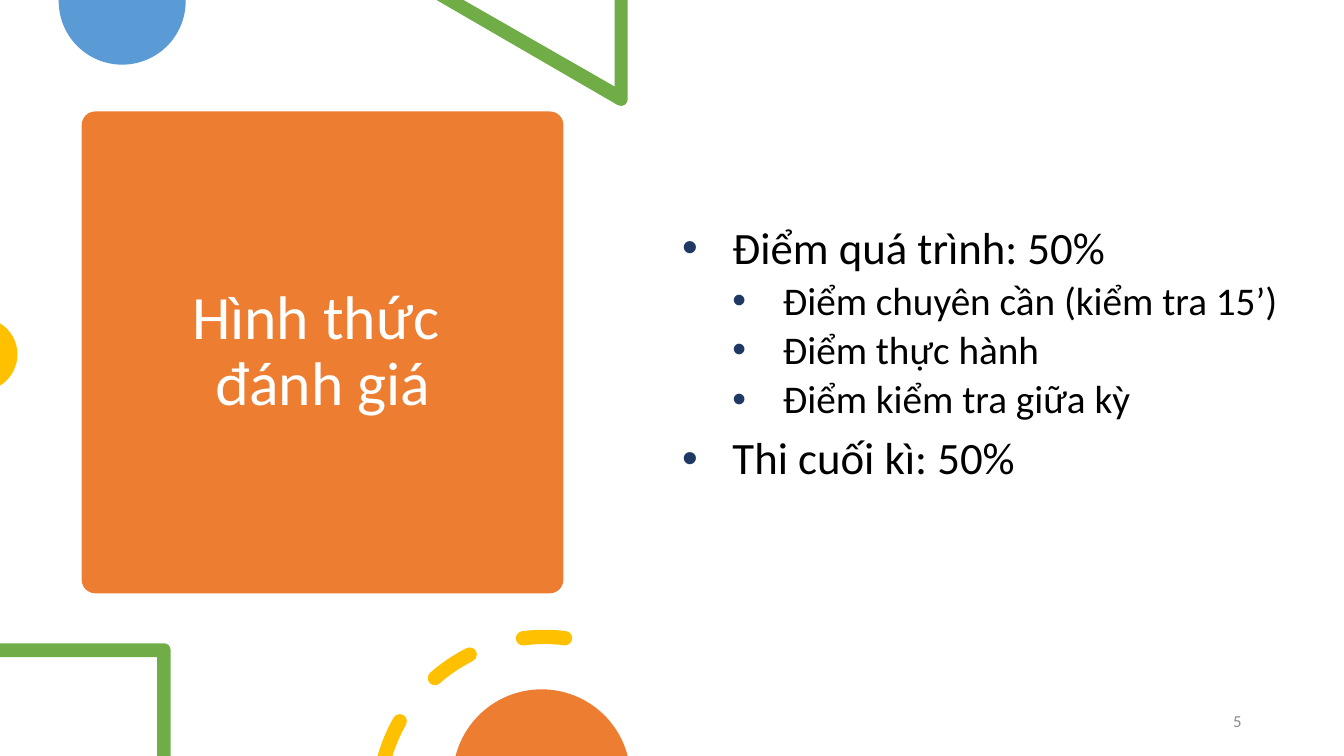
from math import asin, cos, degrees, radians, sin, tan

from lxml.etree import SubElement
from pptx import Presentation
from pptx.dml.color import RGBColor
from pptx.enum.shapes import MSO_SHAPE as Preset
from pptx.enum.text import MSO_ANCHOR as Anchor, PP_ALIGN as Align
from pptx.oxml.ns import qn
from pptx.util import Cm, Pt

WIDTH, HEIGHT = 33.87, 19.05
FONT = "Calibri"
ORANGE = RGBColor(0xED, 0x7D, 0x31)
BLUE = RGBColor(0x5B, 0x9B, 0xD5)
GREEN = RGBColor(0x70, 0xAD, 0x47)
YELLOW = RGBColor(0xFF, 0xC0, 0x00)
NAVY = RGBColor(0x20, 0x38, 0x64)
GRAY = RGBColor(0x8C, 0x8C, 0x8C)
BLACK = RGBColor(0, 0, 0)
WHITE = RGBColor(0xFF, 0xFF, 0xFF)

GRADING = [
    (0, "Điểm quá trình: 50%"),
    (1, "Điểm chuyên cần (kiểm tra 15’)"),
    (1, "Điểm thực hành"),
    (1, "Điểm kiểm tra giữa kỳ"),
    (0, "Thi cuối kì: 50%"),
]


def arc(x, y, radius, start, end):
    """Return a start point and Bezier triples; degrees run clockwise from the right."""
    low, high = sorted((start, end))
    quarters = [angle for angle in range(-90, 721, 90) if low < angle < high]
    stops = sorted([start, *quarters, end], reverse=end < start)

    def at(angle, along=0):
        """Return the arc's point at an angle, moved along the tangent."""
        c, s = cos(radians(angle)), sin(radians(angle))
        return x + radius * (c - along * s), y + radius * (s + along * c)

    steps = [[at(start)]]
    for first, last in zip(stops, stops[1:]):
        handle = 4 / 3 * tan(radians(last - first) / 4)
        steps.append([at(first, handle), at(last, -handle), at(last)])
    return steps


def corners(*points):
    """Return straight outline steps through the points."""
    return [[point] for point in points]


def paint(shape, color):
    """Give a shape a flat fill without line or shadow."""
    shape.shadow.inherit = False
    shape.fill.solid()
    shape.fill.fore_color.rgb = color
    shape.line.fill.background()


def add_outline(slide, color, *contours):
    """Draw one filled freeform from closed contours of lines and curves in cm."""
    builder = None
    for steps in contours:
        start, *points = [(Cm(x), Cm(y)) for step in steps for x, y in step]
        if builder:
            builder.move_to(*start)
        else:
            builder = slide.shapes.build_freeform(*start)
        builder.add_line_segments(points)
    shape = builder.convert_to_shape()
    paint(shape, color)

    lines = iter(list(shape._element.iter(qn("a:lnTo"))))
    for step in [step for steps in contours for step in steps[1:]]:
        curve, *others = [next(lines) for _ in step]
        if others:
            curve.tag = qn("a:cubicBezTo")
        for line in others:
            curve.append(line[0])
            line.getparent().remove(line)


def ring_dash(start, end):
    """Return a ring dash with round ends, or cut by the slide's bottom edge."""
    x, y, radius, half = 13.72, 20.24, 4.19, 0.18
    outer, inner = radius + half, radius - half

    def cap(angle, turn):
        """Return the half circle that closes the dash at an angle."""
        center_x, center_y = arc(x, y, radius, angle, angle)[0][0]
        return arc(center_x, center_y, half, angle + turn, angle + turn + 180)[1:]

    def edge(size):
        """Return the angle at which a circle meets the bottom edge."""
        return 180 + degrees(asin((y - HEIGHT) / size))

    cut = start < edge(radius)
    outer_start, inner_start = (edge(outer), edge(inner)) if cut else (start, start)
    return (arc(x, y, outer, outer_start, end) + cap(end, 0)
            + arc(x, y, inner, end, inner_start)[1:] + ([] if cut else cap(start, 180)))


def add_decorations(slide):
    """Draw the shapes along the slide's edges."""
    add_outline(slide, BLUE, arc(3.08, 0.03, 1.6, 0, 180) + corners((1.48, 0), (4.68, 0)))
    add_outline(slide, GREEN,
                corners((15.82, 0), (15.49, 0), (15.49, 2.18), (11.68, 0), (11, 0))
                + arc(15.65, 2.5, 0.17, 120, 0))
    add_outline(slide, YELLOW, arc(-0.48, 8.93, 0.92, -58.5, 58.5))
    add_outline(slide, GREEN,
                corners((0, 16.21), (0, 16.56), (3.96, 16.56), (3.96, HEIGHT), (4.3, HEIGHT))
                + arc(4.13, 16.38, 0.17, 0, -90))
    add_outline(slide, YELLOW, *[ring_dash(start, start + 14.5) for start in (195, 228.8, 262.6)])
    add_outline(slide, ORANGE, arc(13.65, 19.61, 2.24, 194.5, 345.5))


def add_text_frame(slide, left, top, width, height, anchor):
    """Add a wrapping text box and return its text frame."""
    frame = slide.shapes.add_textbox(Cm(left), Cm(top), Cm(width), Cm(height)).text_frame
    frame.word_wrap = True
    frame.vertical_anchor = anchor
    return frame


def style(paragraph, size, color, align=Align.LEFT):
    """Set a paragraph's font and alignment."""
    paragraph.alignment = align
    paragraph.font.name = FONT
    paragraph.font.size = Pt(size)
    paragraph.font.color.rgb = color


def add_bullet(paragraph, level):
    """Give a paragraph a navy bullet with a hanging indent."""
    properties = paragraph._p.get_or_add_pPr()
    properties.set("marL", str(Cm(1.27 * (level + 1))))
    properties.set("indent", str(Cm(-1.27)))
    color = SubElement(properties, qn("a:buClr"))
    SubElement(color, qn("a:srgbClr"), val=str(NAVY))
    SubElement(properties, qn("a:buFont"), typeface="Arial")
    SubElement(properties, qn("a:buChar"), char="•")


def add_title(slide):
    """Add the orange card and the title on it."""
    card = slide.shapes.add_shape(Preset.ROUNDED_RECTANGLE, Cm(2.06), Cm(2.81), Cm(12.14), Cm(12.14))
    card.adjustments[0] = 0.028
    paint(card, ORANGE)
    paragraph = add_text_frame(slide, 2.66, 3.1, 10.95, 11.58, Anchor.MIDDLE).paragraphs[0]
    paragraph.text = "Hình thức \vđánh giá"
    paragraph.line_spacing = 0.9
    style(paragraph, 44, WHITE, Align.CENTER)


def add_grading(slide):
    """Add the two-level list of grading parts."""
    frame = add_text_frame(slide, 16.94, 5.69, 15.77, 7.5, Anchor.TOP)
    frame.margin_top = 0
    for index, (level, text) in enumerate(GRADING):
        paragraph = frame.add_paragraph() if index else frame.paragraphs[0]
        paragraph.text = text
        paragraph.level = level
        paragraph.line_spacing = 0.9
        paragraph.space_before = Pt((5 if level else 10) if index else 0)
        add_bullet(paragraph, level)
        style(paragraph, 28 if level else 32, BLACK)


def add_page_number(slide):
    """Add the page number at the lower right."""
    paragraph = add_text_frame(slide, 29.18, 17.65, 2.36, 1.02, Anchor.MIDDLE).paragraphs[0]
    paragraph.text = "5"
    paragraph.space_after = Pt(6)
    style(paragraph, 12, GRAY, Align.RIGHT)


def main():
    """Build and save the slide."""
    presentation = Presentation()
    presentation.slide_width, presentation.slide_height = Cm(WIDTH), Cm(HEIGHT)
    slide = presentation.slides.add_slide(presentation.slide_layouts[6])
    paint(slide.shapes.add_shape(Preset.RECTANGLE, 0, 0, Cm(WIDTH), Cm(HEIGHT)), WHITE)
    add_decorations(slide)
    add_title(slide)
    add_grading(slide)
    add_page_number(slide)
    presentation.save("out.pptx")


main()
